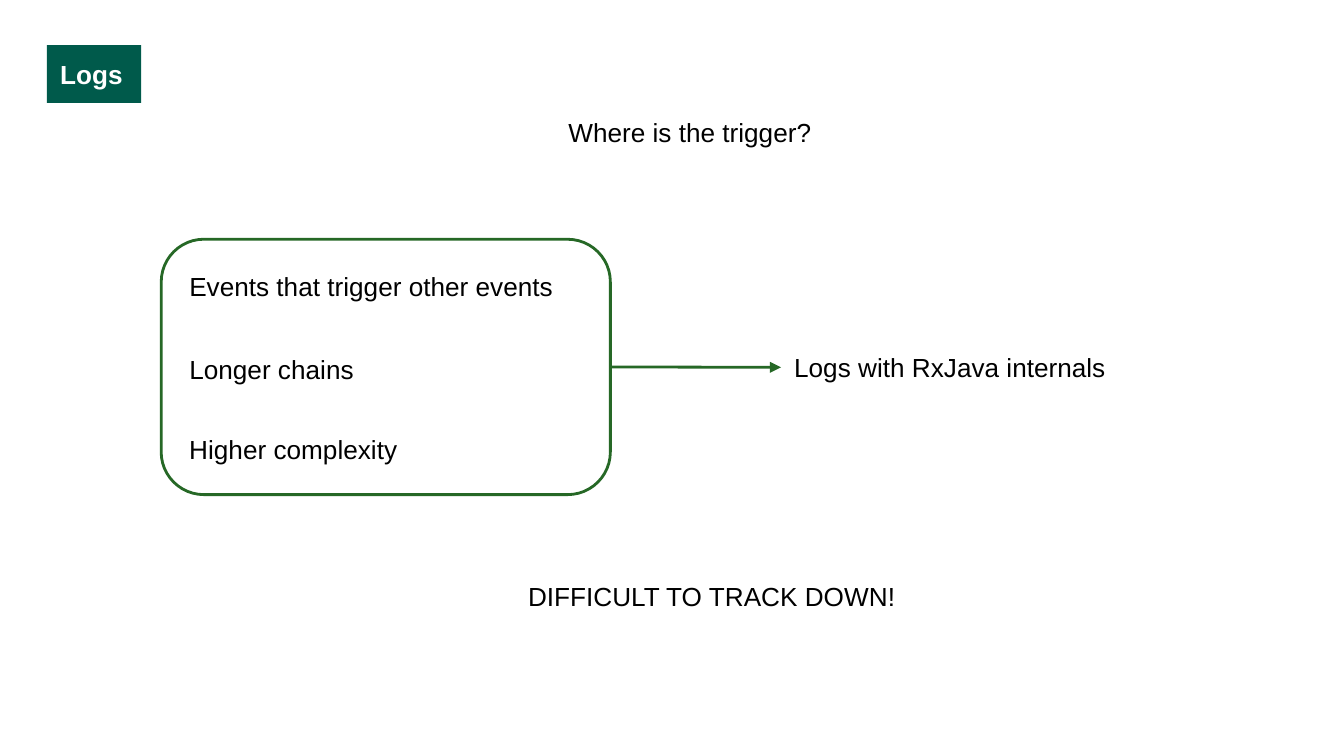
"""Build the slide on why log triggers are difficult to track down."""
from lxml import etree
from pptx import Presentation
from pptx.dml.color import RGBColor
from pptx.enum.shapes import MSO_CONNECTOR, MSO_SHAPE
from pptx.enum.text import MSO_ANCHOR, PP_ALIGN
from pptx.oxml.ns import qn
from pptx.util import Pt

ROUNDED = MSO_SHAPE.ROUNDED_RECTANGLE
RECTANGLE = MSO_SHAPE.RECTANGLE
STRAIGHT = MSO_CONNECTOR.STRAIGHT
TOP = MSO_ANCHOR.TOP
LEFT = PP_ALIGN.LEFT

COLORS = {"line": "266826", "title": "005A4B", "white": "FFFFFF", "text": "000000"}


def color(name):
    return RGBColor.from_string(COLORS[name])


def write(box, text, ink="text", bold=False):
    frame = box.text_frame
    frame.word_wrap = True
    frame.vertical_anchor = TOP
    frame.margin_left = frame.margin_right = Pt(7.2)
    frame.margin_top = frame.margin_bottom = Pt(7.2)
    para = frame.paragraphs[0]
    para.alignment = LEFT
    span = para.add_run()
    span.text = text
    span.font.name = "Arial"
    span.font.size = Pt(14)
    span.font.bold = bold
    span.font.color.rgb = color(ink)


deck = Presentation()
deck.slide_width = Pt(720)
deck.slide_height = Pt(405)
page = deck.slides.add_slide(deck.slide_layouts[6])

causes = page.shapes.add_shape(ROUNDED, Pt(86.4), Pt(128.2), Pt(240.6), Pt(136.8))
causes.adjustments[0] = 0.167
causes.shadow.inherit = False
causes.fill.background()
causes.line.color.rgb = color("line")
causes.line.width = Pt(1.5)

title = page.shapes.add_shape(RECTANGLE, Pt(25.2), Pt(24.2), Pt(50.4), Pt(31))
title.shadow.inherit = False
title.fill.solid()
title.fill.fore_color.rgb = color("title")
title.line.fill.background()
write(title, "Logs", "white", True)

labels = [
    ("Where is the trigger?", 297.4, 55.4, 151.2, 27.4),
    ("Events that trigger other events", 94.3, 137.5, 224.6, 31),
    ("Longer chains", 94.3, 182.2, 108.7, 28.8),
    ("Higher complexity", 94.3, 224.8, 129.6, 31),
    ("Logs with RxJava internals", 418.4, 181.3, 185, 31),
    ("DIFFICULT TO TRACK DOWN!", 275.8, 303.8, 221.8, 28.8),
]
boxes = {}
for text, left, top, width, height in labels:
    boxes[text] = page.shapes.add_textbox(Pt(left), Pt(top), Pt(width), Pt(height))
    write(boxes[text], text)

arrow = page.shapes.add_connector(STRAIGHT, Pt(327), Pt(196.6), Pt(418.4), Pt(196.6))
arrow.begin_connect(causes, 3)
arrow.end_connect(boxes["Logs with RxJava internals"], 1)
arrow.line.color.rgb = color("line")
arrow.line.width = Pt(1.5)
etree.SubElement(arrow.line._get_or_add_ln(), qn("a:tailEnd"), type="triangle")
etree.SubElement(arrow._element.spPr, qn("a:effectLst"))

deck.save("out.pptx")
